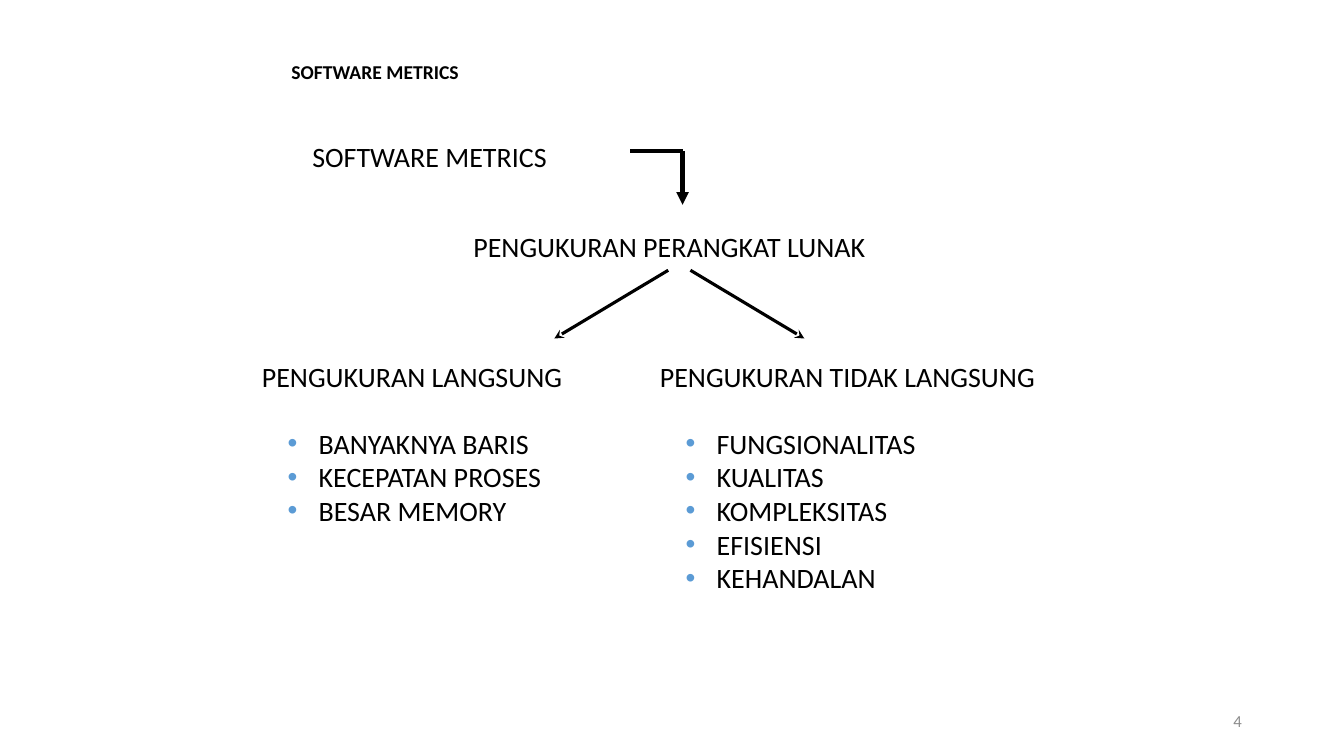
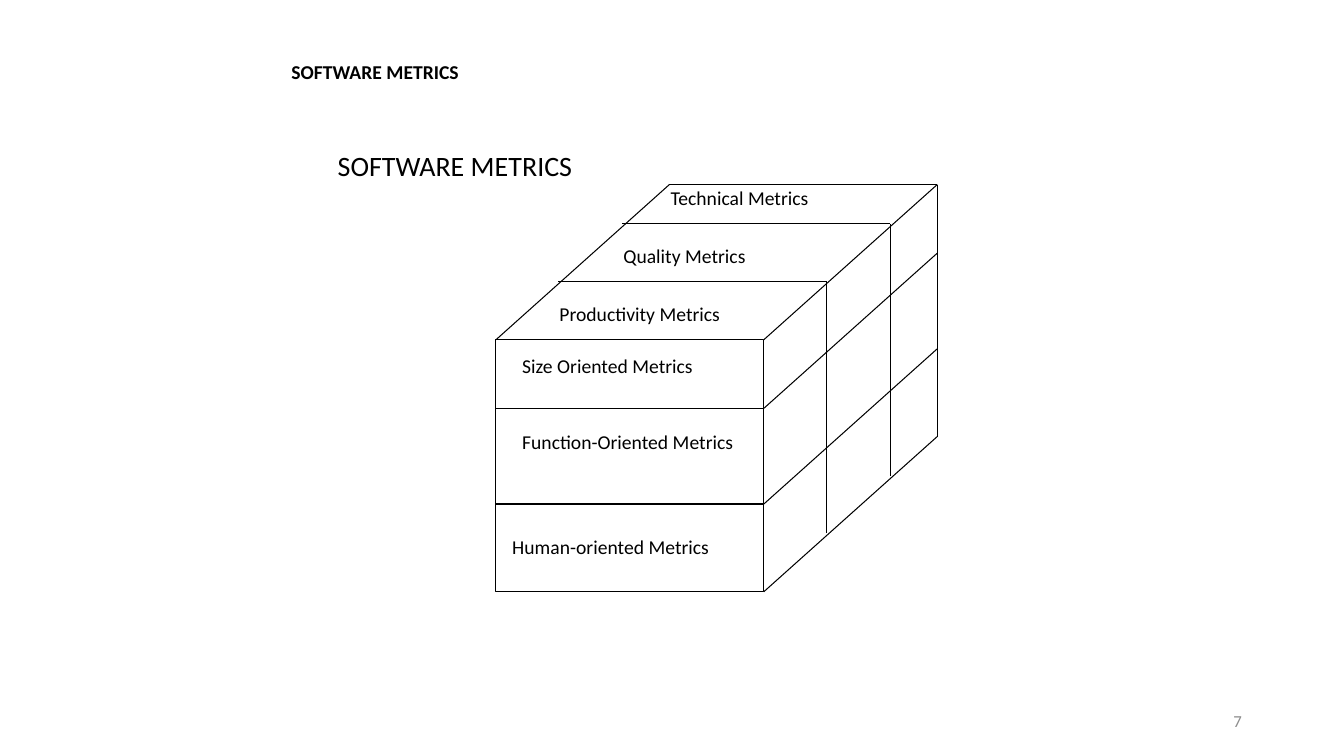
from dataclasses import dataclass

from lxml.etree import SubElement
from pptx import Presentation
from pptx.dml.color import RGBColor
from pptx.enum.shapes import MSO_CONNECTOR, MSO_SHAPE
from pptx.enum.text import MSO_ANCHOR, MSO_AUTO_SIZE, PP_ALIGN
from pptx.oxml.ns import qn
from pptx.slide import Slide
from pptx.text.text import TextFrame, _Paragraph
from pptx.util import Cm, Pt

FONT = "Calibri"
BLACK = "000000"
GREY = "8C8C8C"
BLUE = "5B9BD5"
TITLE = "SOFTWARE METRICS"
PAD = (0.25, 0.13)
TIGHT = (0.03, 0.03)


@dataclass(frozen=True)
class Label:
    """A one-line text with its place in centimetres."""
    text: str
    left: float
    top: float
    width: float
    height: float = 1.12
    size: float = 20
    pad: tuple[float, float] = PAD


@dataclass(frozen=True)
class Line:
    """A straight line with its ends in centimetres."""
    x1: float
    y1: float
    x2: float
    y2: float
    weight: float = 0.75
    head: str = ""


@dataclass(frozen=True)
class Branch:
    """A heading with the bullet points below it."""
    head: Label
    points: tuple[str, ...]


HEADS = (
    Label(TITLE, 7.62, 3.38, 6.63),
    Label("PENGUKURAN PERANGKAT LUNAK", 11.68, 5.66, 10.8),
)
ARROWS = (
    Line(15.88, 3.81, 17.2, 3.81, 3),
    Line(17.2, 3.81, 17.2, 5.16, 3, "triangle"),
    Line(16.84, 6.81, 13.97, 8.53, 2.25, "stealth"),
    Line(17.4, 6.81, 20.27, 8.53, 2.25, "stealth"),
)
BRANCHES = (
    Branch(Label("PENGUKURAN LANGSUNG", 6.35, 8.92, 8.3, 4.52),
           ("BANYAKNYA BARIS", "KECEPATAN PROSES", "BESAR MEMORY")),
    Branch(Label("PENGUKURAN TIDAK LANGSUNG", 16.38, 8.92, 10.21, 6.25),
           ("FUNGSIONALITAS", "KUALITAS", "KOMPLEKSITAS", "EFISIENSI",
            "KEHANDALAN")),
)

LEFT, RIGHT = 12.5, 19.25
ROWS = (8.56, 10.29, 12.7, 14.91)
DEPTHS = ((1.57, 1.47), (3.18, 2.92), (4.37, 3.91))
TOPS = (("Productivity Metrics", 7.57), ("Quality Metrics", 6.12),
        ("Technical Metrics", 4.65))
FRONTS = (("Size Oriented Metrics", 13.13, 8.89),
          ("Function-Oriented Metrics", 13.13, 10.8),
          ("Human-oriented Metrics", 12.88, 13.44))


def paint(code: str) -> RGBColor:
    """Turn a hex string into a colour."""
    return RGBColor.from_string(code)


def write(para: _Paragraph, text: str, size: float, tint: str = BLACK,
          bold: bool = False) -> None:
    """Add one formatted run to a paragraph."""
    run = para.add_run()
    run.text = text
    font = run.font
    font.name, font.size, font.bold = FONT, Pt(size), bold
    font.color.rgb = paint(tint)


def frame(body: TextFrame, pad: tuple[float, float]) -> None:
    """Set wrapping, anchor and insets of a text frame."""
    body.word_wrap = True
    body.auto_size = MSO_AUTO_SIZE.NONE
    body.vertical_anchor = MSO_ANCHOR.TOP
    body.margin_left = body.margin_right = Cm(pad[0])
    body.margin_top = body.margin_bottom = Cm(pad[1])


def label(slide: Slide, item: Label, tint: str = BLACK) -> TextFrame:
    """Draw a label and return its text frame."""
    box = slide.shapes.add_textbox(Cm(item.left), Cm(item.top),
                                   Cm(item.width), Cm(item.height))
    body = box.text_frame
    frame(body, item.pad)
    write(body.paragraphs[0], item.text, item.size, tint)
    return body


def bullet(para: _Paragraph) -> None:
    """Give a paragraph a blue hanging bullet."""
    props = para._p.get_or_add_pPr()
    props.set("marL", str(Cm(1.43)))
    props.set("indent", str(-Cm(0.78)))
    tint = SubElement(props, qn("a:buClr"))
    SubElement(tint, qn("a:srgbClr"), val=BLUE)
    SubElement(props, qn("a:buFont"), typeface="Arial")
    SubElement(props, qn("a:buChar"), char="•")


def branch(slide: Slide, item: Branch) -> None:
    """Draw a heading and its bullet list in one box."""
    body = label(slide, item.head)
    for place, point in enumerate(item.points):
        para = body.add_paragraph()
        bullet(para)
        if place == 0:
            para.space_before = Pt(24)
        write(para, point, item.head.size)


def stroke(slide: Slide, item: Line) -> None:
    """Draw a straight line, with an arrowhead if it has one."""
    wire = slide.shapes.add_connector(
        MSO_CONNECTOR.STRAIGHT, Cm(item.x1), Cm(item.y1),
        Cm(item.x2), Cm(item.y2))
    wire.line.color.rgb = paint(BLACK)
    wire.line.width = Pt(item.weight)
    if item.head:
        SubElement(wire.line._get_or_add_ln(), qn("a:tailEnd"),
                   type=item.head)
    SubElement(wire._element.spPr, qn("a:effectLst"))


def start(deck: Presentation, page: str) -> Slide:
    """Add a slide with the shared title and page number."""
    slide = deck.slides.add_slide(deck.slide_layouts[5])
    title = slide.shapes.title
    title.left, title.top = Cm(7.09), Cm(1.37)
    title.width, title.height = Cm(6.88), Cm(0.86)
    frame(title.text_frame, PAD)
    para = title.text_frame.paragraphs[0]
    para.alignment = PP_ALIGN.LEFT
    write(para, TITLE, 14, bold=True)
    body = label(slide, Label(page, 23.93, 17.65, 7.62, 1.02, 12), GREY)
    body.vertical_anchor = MSO_ANCHOR.MIDDLE
    body.paragraphs[0].alignment = PP_ALIGN.RIGHT
    return slide


def tree(deck: Presentation) -> None:
    """Build the slide on direct and indirect measures."""
    slide = start(deck, "4")
    for head in HEADS:
        label(slide, head)
    for arrow in ARROWS:
        stroke(slide, arrow)
    for item in BRANCHES:
        branch(slide, item)


def cube(deck: Presentation) -> None:
    """Build the slide with the cube of metric types."""
    slide = start(deck, "7")
    label(slide, Label(TITLE, 8.26, 3.61, 6.63))
    top, low = ROWS[0], ROWS[-1]
    front = slide.shapes.add_shape(MSO_SHAPE.RECTANGLE, Cm(LEFT), Cm(top),
                                   Cm(RIGHT - LEFT), Cm(low - top))
    front.shadow.inherit = False
    front.fill.background()
    front.line.color.rgb = paint(BLACK)
    front.line.width = Pt(0.75)

    deep, rise = DEPTHS[-1]
    stroke(slide, Line(LEFT, top, LEFT + deep, top - rise))
    for row in ROWS:
        stroke(slide, Line(RIGHT, row, RIGHT + deep, row - rise))
    for row in ROWS[1:-1]:
        stroke(slide, Line(LEFT, row, RIGHT, row))
    for (far, lift), (text, y) in zip(DEPTHS, TOPS):
        edge = RIGHT + far
        stroke(slide, Line(LEFT + far, top - lift, edge, top - lift))
        stroke(slide, Line(edge, top - lift, edge, low - lift))
        label(slide, Label(text, LEFT + far, y, 5.2, 0.97, 14, TIGHT))
    for text, x, y in FRONTS:
        label(slide, Label(text, x, y, 6.12, 0.97, 14, TIGHT))


def main() -> None:
    """Build and save the deck."""
    deck = Presentation()
    deck.slide_width, deck.slide_height = Cm(33.87), Cm(19.05)
    tree(deck)
    cube(deck)
    deck.save("out.pptx")


if __name__ == "__main__":
    main()
